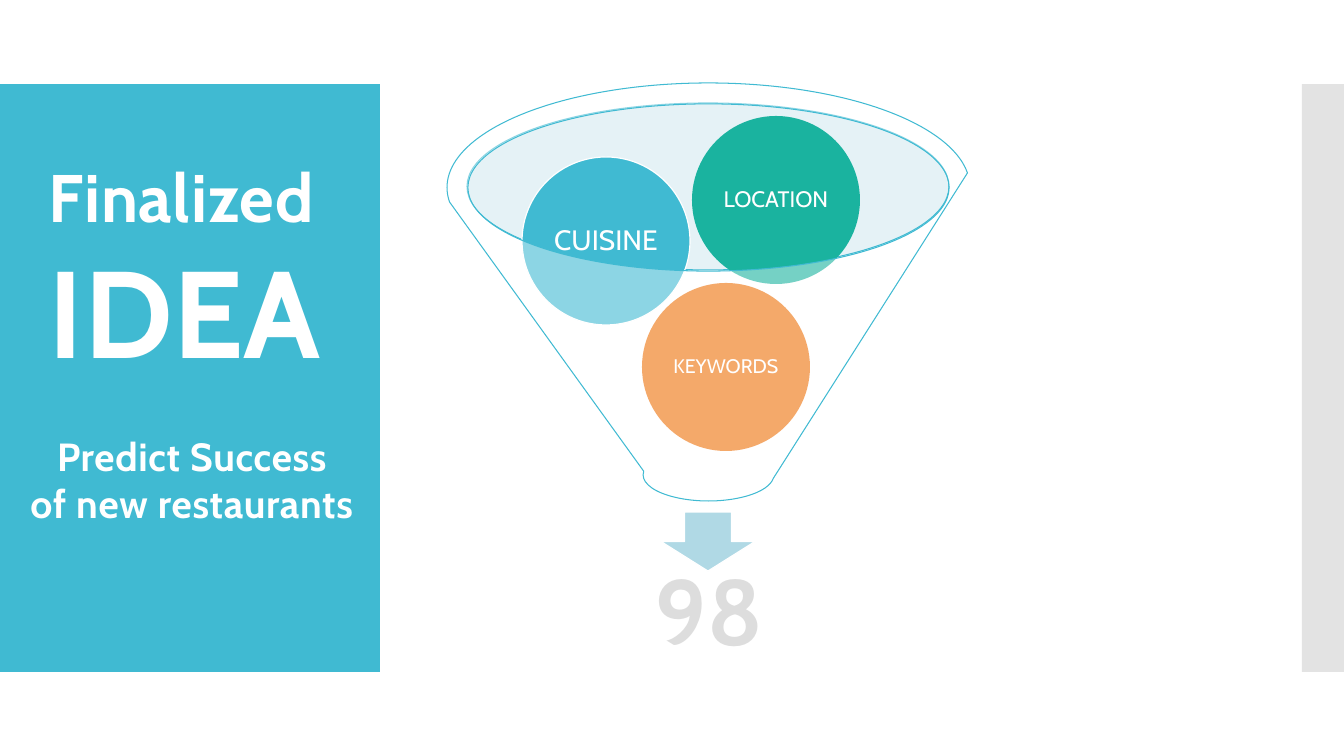
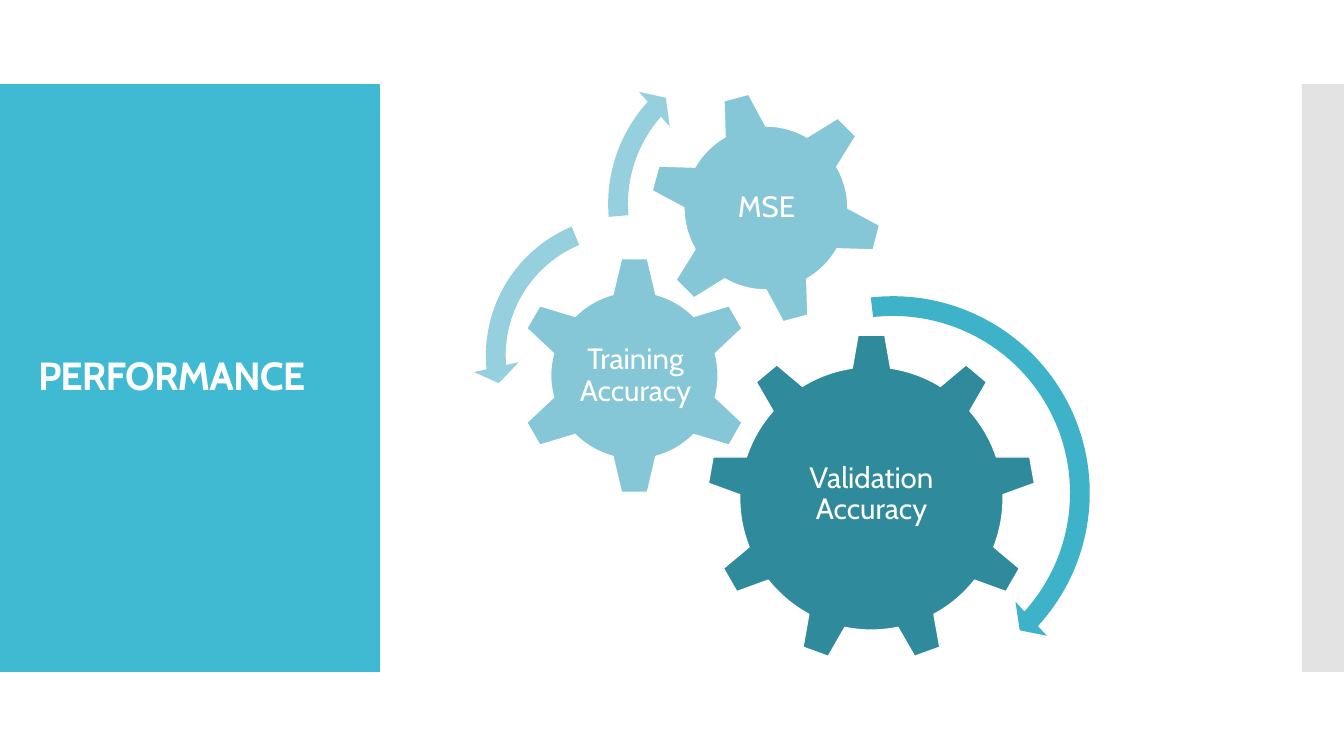
from dataclasses import dataclass
from pptx import Presentation
from pptx.dml.color import RGBColor as RGB
from pptx.enum.shapes import MSO_SHAPE as Kind
from pptx.enum.text import MSO_ANCHOR as Anchor, PP_ALIGN as Align
from pptx.oxml.ns import qn
from pptx.oxml.xmlchemy import OxmlElement
from pptx.util import Emu, Pt


@dataclass(frozen=True)
class Theme:
    font: str = "Cabin"
    white: str = "FFFFFF"
    cyan: str = "40BAD2"
    gray: str = "C8C8C8"
    ice: str = "C0E0EA"
    pale: str = "B0D9E5"
    mist: str = "DDDDDD"
    green: str = "1AB39F"
    orange: str = "EE7008"
    deep: str = "2F8A9B"
    soft: str = "85C6D7"
    curve: str = "3DB2C9"
    light: str = "96CFDE"
    edge: float = 0.85
    thin: float = 0.75
    title: int = 28
    lead: int = 48
    huge: int = 88
    score: int = 66
    gear: int = 21
    tight: int = -60
    loose: int = 50


T = Theme()
SIZE = (1344, 756)
SCALE = 12192000 / SIZE[0]

# Content: boxes are left, top, width, height in px
BAND = (0, 84, 380, 588)
RAIL = (1302, 84, 42, 588)

HEAD = [("Finalized", T.lead), ("IDEA", T.huge)]
GOAL = [("Predict Success", T.title), ("of new restaurants", T.title)]
SCORE = [("98", T.score)]
BALL = 168
# text, left, top, fill, text size, edge
BALLS = [
    ("KEYWORDS", 642, 283, T.orange, 14, None),
    ("CUISINE", 522, 157, T.cyan, 20, T.white),
    ("LOCATION", 692, 116, T.green, 16, None),
]

NAME = [("PERFORMANCE", T.title)]
# text, shape, box, turn, fill, label box
GEARS = [
    ("Validation Accuracy", Kind.GEAR_9, (707, 334, 329, 329), 0, T.deep,
     (773, 410, 197, 169)),
    ("Training Accuracy", Kind.GEAR_6, (515, 256, 239, 239), 0, T.soft,
     (576, 317, 119, 118)),
    ("MSE", Kind.GEAR_6, (649, 91, 234, 234), 345, T.soft,
     (701, 142, 131, 131)),
]
# shape, box, fill, width %, head angle, end angle, start angle, head %
ARCS = [
    (Kind.CIRCULAR_ARROW, (683, 283, 420, 420), T.curve,
     4.7, 4.98, 42.32, 263.54, 5.5),
    (Kind.LEFT_CIRCULAR_ARROW, (473, 203, 305, 305), T.light,
     6.5, 7.17, 174.82, 247.3, 7.5),
    (Kind.CIRCULAR_ARROW, (595, 39, 330, 330), T.light,
     6, 6.57, 221.9, 175.14, 7),
]


def px(*vals):
    return [Emu(round(v * SCALE)) for v in vals]


def write(shape, lines, color=T.white, bold=False, align=Align.CENTER,
          anchor=Anchor.MIDDLE, inset=3, wrap=True, lead=0.9, gap=0):
    frame = shape.text_frame
    frame.text = "\n".join(text for text, _ in lines)
    frame.word_wrap = wrap
    frame.vertical_anchor = anchor
    side, top = inset if isinstance(inset, tuple) else (inset, inset)
    frame.margin_left, frame.margin_right = px(side, side)
    frame.margin_top, frame.margin_bottom = px(top, top)
    for par, (_, size) in zip(frame.paragraphs, lines):
        par.alignment = align
        par.line_spacing = lead
        for run in par.runs:
            font = run.font
            font.name, font.size, font.bold = T.font, Pt(size), bold
            font.color.rgb = RGB.from_string(color)
            if gap:
                run._r.get_or_add_rPr().set("spc", str(gap))


def label(slide, box, lines, **style):
    write(slide.shapes.add_textbox(*px(*box)), lines, **style)


def draw(slide, kind, box, fill, line=None, width=T.edge, alpha=None):
    shape = slide.shapes.add_shape(kind, *px(*box))
    shape.shadow.inherit = False
    shape.fill.solid()
    shape.fill.fore_color.rgb = RGB.from_string(fill)
    if alpha:
        tone = shape._element.spPr.find(qn("a:solidFill"))[0]
        node = OxmlElement("a:alpha")
        node.set("val", str(alpha * 1000))
        tone.append(node)
    if line:
        shape.line.color.rgb = RGB.from_string(line)
        shape.line.width = Pt(width)
    else:
        shape.line.fill.background()
    return shape


def start(deck):
    slide = deck.slides.add_slide(deck.slide_layouts[6])
    draw(slide, Kind.RECTANGLE, BAND, T.cyan)
    draw(slide, Kind.RECTANGLE, RAIL, T.gray, alpha=50)
    return slide


def idea(deck):
    slide = start(deck)
    # Funnel mouth, outlet and score
    draw(slide, Kind.OVAL, (467, 103, 482, 167), T.ice, T.cyan, T.thin, 40)
    draw(slide, Kind.DOWN_ARROW, (661, 512, 94, 59), T.pale, T.white)
    label(slide, (485, 560, 448, 112), SCORE, color=T.mist, bold=True,
          inset=51)
    # Inputs behind the funnel glass
    for text, left, top, fill, size, edge in BALLS:
        ball = draw(slide, Kind.OVAL, (left, top, BALL, BALL), fill, edge)
        write(ball, [(text, size)], inset=2)
    draw(slide, Kind.FUNNEL, (447, 83, 523, 418), T.white, T.cyan, T.thin, 40)
    # Band text
    band = dict(bold=True, anchor=Anchor.TOP, inset=(10, 5), wrap=False,
                lead=1.0, gap=T.loose)
    label(slide, (39, 150, 304, 241), HEAD, align=Align.LEFT, **band)
    label(slide, (16, 427, 352, 105), GOAL, **band)


def results(deck):
    slide = start(deck)
    label(slide, (28, 124, 325, 507), NAME, bold=True, align=Align.LEFT,
          inset=(10, 5), gap=T.tight)
    # Gears with upright labels
    for text, kind, box, turn, fill, area in GEARS:
        gear = draw(slide, kind, box, fill, T.white)
        gear.rotation = turn
        label(slide, area, [(text, T.gear)])
    # Turning arrows: percents and degrees become adjustments
    for kind, box, fill, thick, tip, end, begin, head in ARCS:
        arc = draw(slide, kind, box, fill)
        vals = (thick / 100, tip * 0.6, end * 0.6, begin * 0.6, head / 100)
        for i, val in enumerate(vals):
            arc.adjustments[i] = val


def main():
    deck = Presentation()
    deck.slide_width, deck.slide_height = px(*SIZE)
    idea(deck)
    results(deck)
    deck.save("out.pptx")


if __name__ == "__main__":
    main()
